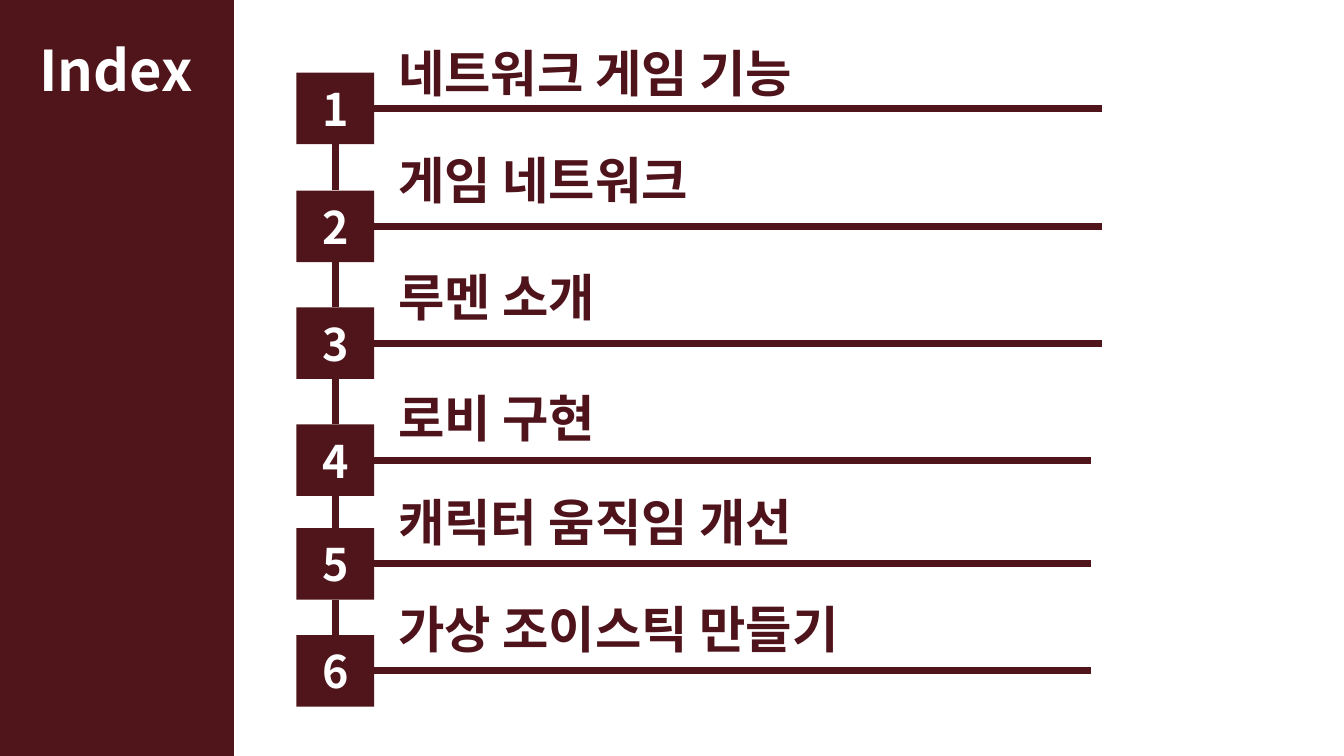
from lxml import etree
from pptx import Presentation
from pptx.dml.color import RGBColor
from pptx.enum.shapes import MSO_CONNECTOR, MSO_SHAPE
from pptx.enum.text import MSO_ANCHOR, MSO_AUTO_SIZE, PP_ALIGN
from pptx.oxml.ns import qn
from pptx.util import Inches, Pt

RECTANGLE = MSO_SHAPE.RECTANGLE
STRAIGHT = MSO_CONNECTOR.STRAIGHT
MIDDLE = MSO_ANCHOR.MIDDLE
CENTER = PP_ALIGN.CENTER
GROW = MSO_AUTO_SIZE.SHAPE_TO_FIT_TEXT
TOP, BOTTOM, RIGHT = 0, 2, 3

MAROON = RGBColor(0x50, 0x14, 0x1B)
TOPIC_COLOR = RGBColor(0x4F, 0x14, 0x1B)
WHITE = RGBColor(0xFF, 0xFF, 0xFF)
FONT = "Noto Sans CJK KR"

BOX_LEFT, BOX_WIDTH, BOX_HEIGHT = 2.94, 0.77, 0.71
TOPIC_LEFT = 3.85

# topic, top of its number box, top of its text, text width, right end of its rule
TOPICS = [
    ("네트워크 게임 기능", 0.72, 0.37, 7.68, 10.93),
    ("게임 네트워크", 1.89, 1.43, 8.82, 10.93),
    ("루멘 소개", 3.05, 2.59, 8.82, 10.93),
    ("로비 구현", 4.21, 3.79, 8.82, 10.82),
    ("캐릭터 움직임 개선", 5.24, 4.82, 8.82, 10.82),
    ("가상 조이스틱 만들기", 6.3, 5.88, 8.82, 10.82),
]


def write(frame, text, size, color):
    """Put one bold run in the frame, with the font set for Latin and Korean."""
    run = frame.paragraphs[0].add_run()
    run.text = text
    for key, value in {"name": FONT, "size": Pt(size), "bold": True}.items():
        setattr(run.font, key, value)
    run.font.color.rgb = color
    east_asian = etree.SubElement(run.font._element, qn("a:ea"))
    east_asian.set("typeface", FONT)


def add_block(slide, left, top, width, height):
    block = slide.shapes.add_shape(
        RECTANGLE, Inches(left), Inches(top), Inches(width), Inches(height))
    block.shadow.inherit = False
    block.fill.solid()
    block.fill.fore_color.rgb = MAROON
    block.line.fill.background()
    return block


def add_number_box(slide, number, top):
    box = add_block(slide, BOX_LEFT, top, BOX_WIDTH, BOX_HEIGHT)
    box.text_frame.vertical_anchor = MIDDLE
    box.text_frame.paragraphs[0].alignment = CENTER
    write(box.text_frame, str(number), 32, WHITE)
    return box


def add_label(slide, text, left, top, width, height, size, color):
    frame = slide.shapes.add_textbox(
        Inches(left), Inches(top), Inches(width), Inches(height)).text_frame
    for key, value in {"word_wrap": True, "auto_size": GROW}.items():
        setattr(frame, key, value)
    write(frame, text, size, color)


def add_line(slide, x1, y1, x2, y2):
    line = slide.shapes.add_connector(
        STRAIGHT, Inches(x1), Inches(y1), Inches(x2), Inches(y2))
    line.line.color.rgb = MAROON
    line.line.width = Pt(5)
    etree.SubElement(line._element.spPr, qn("a:effectLst"))
    return line


def add_rule(slide, box, top, right):
    middle = top + BOX_HEIGHT / 2
    rule = add_line(slide, BOX_LEFT + BOX_WIDTH, middle, right, middle)
    rule.begin_connect(box, RIGHT)


def add_link(slide, upper, upper_top, lower, lower_top):
    center = BOX_LEFT + BOX_WIDTH / 2
    link = add_line(slide, center, upper_top + BOX_HEIGHT, center, lower_top)
    link.begin_connect(upper, BOTTOM)
    link.end_connect(lower, TOP)


def main():
    prs = Presentation()
    prs.slide_width, prs.slide_height = Inches(13.33), Inches(7.5)
    slide = prs.slides.add_slide(prs.slide_layouts[6])

    add_block(slide, 0, 0, 2.32, 7.5)
    add_label(slide, "Index", 0.29, 0.3, 1.84, 0.77, 40, WHITE)

    previous_box, previous_top = None, None
    for number, (topic, top, text_top, width, rule_right) in enumerate(TOPICS, 1):
        box = add_number_box(slide, number, top)
        add_rule(slide, box, top, rule_right)
        if previous_box is not None:
            add_link(slide, previous_box, previous_top, box, top)
        add_label(slide, topic, TOPIC_LEFT, text_top, width, 0.71, 36, TOPIC_COLOR)
        previous_box, previous_top = box, top

    prs.save("out.pptx")


if __name__ == "__main__":
    main()
